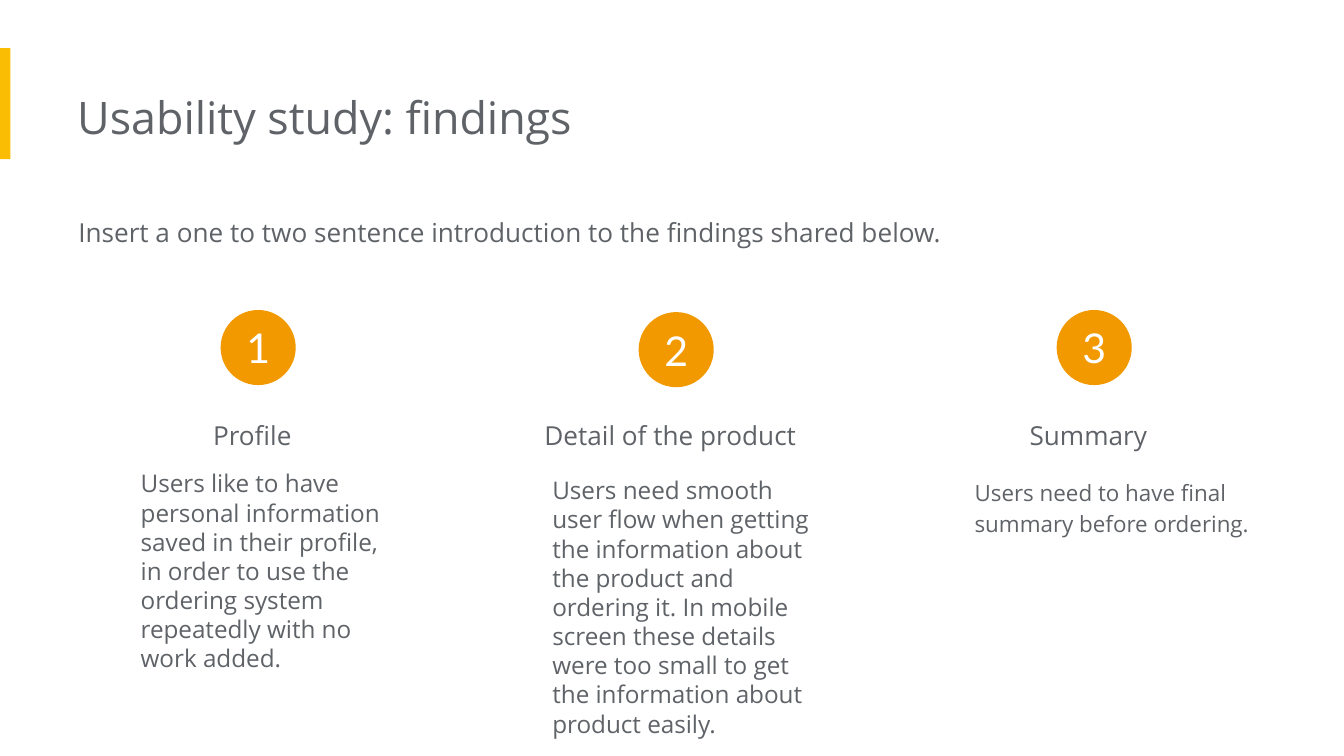
"""Build the usability study findings slide with three numbered columns."""
from pptx import Presentation
from pptx.dml.color import RGBColor
from pptx.enum.shapes import MSO_SHAPE
from pptx.enum.text import MSO_ANCHOR, MSO_AUTO_SIZE, PP_ALIGN
from pptx.util import Cm, Pt

RECT, OVAL = MSO_SHAPE.RECTANGLE, MSO_SHAPE.OVAL
LEFT, CENTER = PP_ALIGN.LEFT, PP_ALIGN.CENTER
MIDDLE = MSO_ANCHOR.MIDDLE
GROW = MSO_AUTO_SIZE.SHAPE_TO_FIT_TEXT

COLORS = {"text": "5F6368", "accent": "FBBC04", "badge": "F29900", "white": "FFFFFF"}
TITLE = "Usability study: findings"
INTRO = "Insert a one to two sentence introduction to the findings shared below."
FINDINGS = [
    {"head": "Profile",
     "body": "Users like to have personal information saved in their profile, "
             "in order to use the ordering system repeatedly with no work added.",
     "box": (2.41, 8.61, 5.21, 4.39), "size": 13, "inset": 0.25, "spacing": None,
     "badge_top": 5.86},
    {"head": "Detail of the product",
     "body": "Users need smooth user flow when getting the information about the "
             "product and ordering it. In mobile screen these details were too small "
             "to get the information about product easily.",
     "box": (10.19, 8.74, 5.72, 5.51), "size": 13, "inset": 0.25, "spacing": None,
     "badge_top": 5.9},
    {"head": "Summary",
     "body": "Users need to have final summary before ordering.",
     "box": (18.42, 8.74, 5.51, 1.63), "size": 12, "inset": 0, "spacing": 1.15,
     "badge_top": 5.86},
]
COLUMN_STEP = 7.9
HEAD_LEFT, HEAD_TOP, HEAD_WIDTH, HEAD_HEIGHT = 2.29, 7.39, 5.21, 1.12
BADGE_LEFT, BADGE_SIZE = 4.17, 1.42


def style_text(tf, text, size, font, color, align, spacing=None):
    tf.text = text
    tf.word_wrap = True
    p = tf.paragraphs[0]
    p.alignment = align
    if spacing:
        p.line_spacing = spacing
    r = p.runs[0]
    r.font.size = Pt(size)
    r.font.name = font
    r.font.color.rgb = RGBColor.from_string(COLORS[color])


def add_text(s, box, text, size, align=LEFT, spacing=None, inset=0):
    tf = s.shapes.add_textbox(*map(Cm, box)).text_frame
    tf.margin_left = Cm(inset)
    tf.margin_right = tf.margin_top = tf.margin_bottom = Cm(0.25)
    style_text(tf, text, size, "Open Sans", "text", align, spacing)
    tf.auto_size = GROW


def add_filled(s, kind, box, color):
    sp = s.shapes.add_shape(kind, *map(Cm, box))
    sp.shadow.inherit = False
    sp.fill.solid()
    sp.fill.fore_color.rgb = RGBColor.from_string(COLORS[color])
    sp.line.fill.background()
    return sp


def add_badge(s, left, top, number):
    tf = add_filled(s, OVAL, (left, top, BADGE_SIZE, BADGE_SIZE), "badge").text_frame
    tf.margin_left = tf.margin_right = tf.margin_top = tf.margin_bottom = 0
    tf.vertical_anchor = MIDDLE
    style_text(tf, str(number), 22, "Lato", "white", CENTER)


def main():
    prs = Presentation()
    prs.slide_width, prs.slide_height = Cm(25.4), Cm(14.29)
    s = prs.slides.add_slide(prs.slide_layouts[6])
    add_filled(s, RECT, (0, 0.91, 0.2, 2.1), "accent")
    add_text(s, (1.46, 1.45, 17.09, 1.55), TITLE, 24)
    add_text(s, (1.48, 3.76, 18.03, 1.12), INTRO, 14, spacing=1.15)
    for i, finding in enumerate(FINDINGS):
        shift = i * COLUMN_STEP
        add_badge(s, BADGE_LEFT + shift, finding["badge_top"], i + 1)
        add_text(s, (HEAD_LEFT + shift, HEAD_TOP, HEAD_WIDTH, HEAD_HEIGHT),
                 finding["head"], 14, CENTER, 1.5)
        add_text(s, finding["box"], finding["body"], finding["size"],
                 spacing=finding["spacing"], inset=finding["inset"])
    prs.save("out.pptx")


if __name__ == "__main__":
    main()
